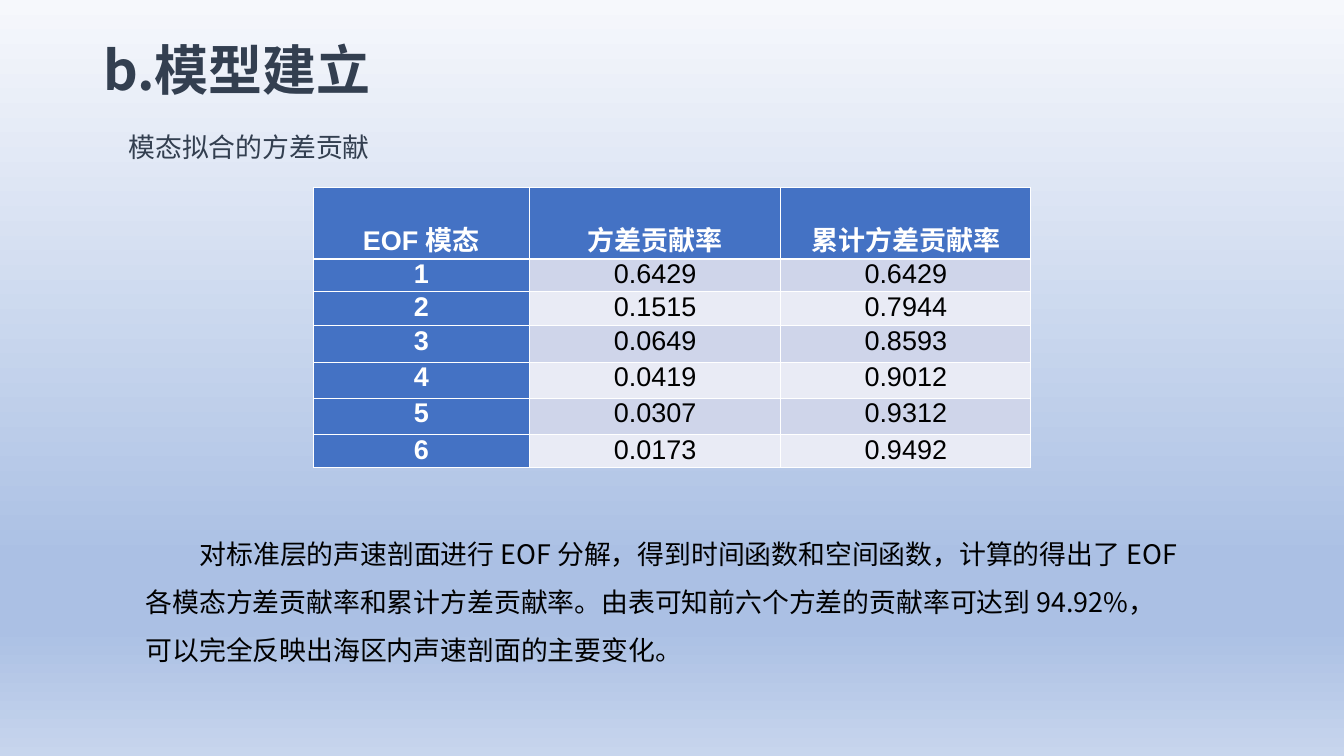
from pptx import Presentation
from pptx import util as u
from pptx.dml.color import RGBColor
from pptx.enum import text
from pptx.oxml.ns import qn
from lxml import etree

CJK_FONT = "Noto Sans CJK SC"
HEADINGS = ["EOF 模态", "方差贡献率", "累计方差贡献率"]
CONTRIBUTIONS = [
    ("1", "0.6429", "0.6429"),
    ("2", "0.1515", "0.7944"),
    ("3", "0.0649", "0.8593"),
    ("4", "0.0419", "0.9012"),
    ("5", "0.0307", "0.9312"),
    ("6", "0.0173", "0.9492"),
]
COLUMN_WIDTHS = [4.01, 4.65, 4.63]
ROW_HEIGHTS = [1.33, 0.61, 0.63, 0.68, 0.67, 0.67, 0.59]
CONCLUSION = (
    "对标准层的声速剖面进行 EOF 分解，得到时间函数和空间函数，计算的得出了 "
    "EOF 各模态方差贡献率和累计方差贡献率。由表可知前六个方差的贡献率可达到 "
    "94.92%，可以完全反映出海区内声速剖面的主要变化。"
)


def rgb(value):
    """Return the colour for a hex string."""
    return RGBColor.from_string(value)


def write(paragraph, words, size, color, font=CJK_FONT, bold=False, align=None,
          line=None, before=None, left=0, indent=0):
    """Put formatted words into a paragraph."""
    properties = paragraph._p.get_or_add_pPr()
    properties.set("marL", str(u.Inches(left)))
    properties.set("indent", str(u.Inches(indent)))
    paragraph.alignment = align
    if line:
        paragraph.line_spacing = u.Pt(line)
    if before:
        paragraph.space_before = u.Pt(before)
    run = paragraph.add_run()
    run.text = words
    run.font.name = font
    run.font.size = u.Pt(size)
    run.font.bold = bold
    run.font.color.rgb = rgb(color)
    east_asian = etree.SubElement(run.font._element, qn("a:ea"))
    east_asian.set("typeface", CJK_FONT)


def paint_background(slide, stops):
    """Fill the slide with a downward gradient."""
    fill = slide.background.fill
    fill.gradient()
    fill.gradient_angle = 270
    stop_list = next(slide.element.iter(qn("a:gsLst")))
    for old_stop in list(stop_list):
        stop_list.remove(old_stop)
    for position, color in stops:
        stop = etree.SubElement(stop_list, qn("a:gs"), pos=str(position * 1000))
        etree.SubElement(stop, qn("a:srgbClr"), val=color)


def add_text_frame(slide, left, top, width, height):
    """Add a wrapping text box and return its frame."""
    box = slide.shapes.add_textbox(*map(u.Inches, (left, top, width, height)))
    box.text_frame.word_wrap = True
    return box.text_frame


def add_heading(slide, left, top, width, height):
    """Place the title with its subtitle below."""
    frame = add_text_frame(slide, left, top, width, height)
    write(frame.paragraphs[0], "b.模型建立", 72, "333F50", bold=True, line=93)
    write(frame.add_paragraph(), "模态拟合的方差贡献", 35.8, "333F50",
          line=52, before=30, left=0.47)


def add_borders(cell, bottom):
    """Draw white lines around a cell."""
    properties = cell._tc.get_or_add_tcPr()
    widths = {"a:lnL": 1, "a:lnR": 1, "a:lnT": 1, "a:lnB": bottom}
    for index, (tag, width) in enumerate(widths.items()):
        line = etree.Element(qn(tag), w=str(u.Pt(width)))
        fill = etree.SubElement(line, qn("a:solidFill"))
        etree.SubElement(fill, qn("a:srgbClr"), val="FFFFFF")
        properties.insert(index, line)


def add_contribution_table(slide, left, top):
    """Place the table of variance contributions."""
    rows = [HEADINGS, *CONTRIBUTIONS]
    width, height = sum(COLUMN_WIDTHS), sum(ROW_HEIGHTS)
    table = slide.shapes.add_table(
        len(rows), len(HEADINGS), *map(u.Inches, (left, top, width, height))).table
    for column, column_width in zip(table.columns, COLUMN_WIDTHS):
        column.width = u.Inches(column_width)
    for row_index, values in enumerate(rows):
        table.rows[row_index].height = u.Inches(ROW_HEIGHTS[row_index])
        for column_index, value in enumerate(values):
            cell = table.cell(row_index, column_index)
            header = row_index == 0
            accent = header or column_index == 0
            band = "CFD5EA" if row_index % 2 else "E9EBF5"
            cell.fill.solid()
            cell.fill.fore_color.rgb = rgb("4472C4" if accent else band)
            cell.margin_left = cell.margin_right = u.Inches(0.07)
            cell.margin_top = cell.margin_bottom = 0
            cell.vertical_anchor = (
                text.MSO_ANCHOR.BOTTOM if header else text.MSO_ANCHOR.TOP)
            add_borders(cell, bottom=3 if header else 1)
            write(cell.text_frame.paragraphs[0], value, 36,
                  "FFFFFF" if accent else "000000", font="Arial",
                  bold=accent, align=text.PP_ALIGN.CENTER)


def add_conclusion(slide, left, top, width, height):
    """Place the closing paragraph."""
    frame = add_text_frame(slide, left, top, width, height)
    frame.margin_right = u.Inches(0.4)
    write(frame.paragraphs[0], CONCLUSION, 35.8, "000000", line=64, indent=1)


def main():
    """Build and save the slide."""
    presentation = Presentation()
    presentation.slide_width = u.Inches(24.89)
    presentation.slide_height = u.Inches(14)
    slide = presentation.slides.add_slide(presentation.slide_layouts[6])
    paint_background(slide, [(0, "F6F8FC"), (74, "ABC0E4"),
                             (83, "ABC0E4"), (100, "C7D5ED")])
    add_heading(slide, 1.81, 0.54, 12.44, 2.52)
    add_contribution_table(slide, 5.8, 3.46)
    add_conclusion(slide, 2.6, 9.62, 19.69, 2.71)
    presentation.save("out.pptx")


if __name__ == "__main__":
    main()
